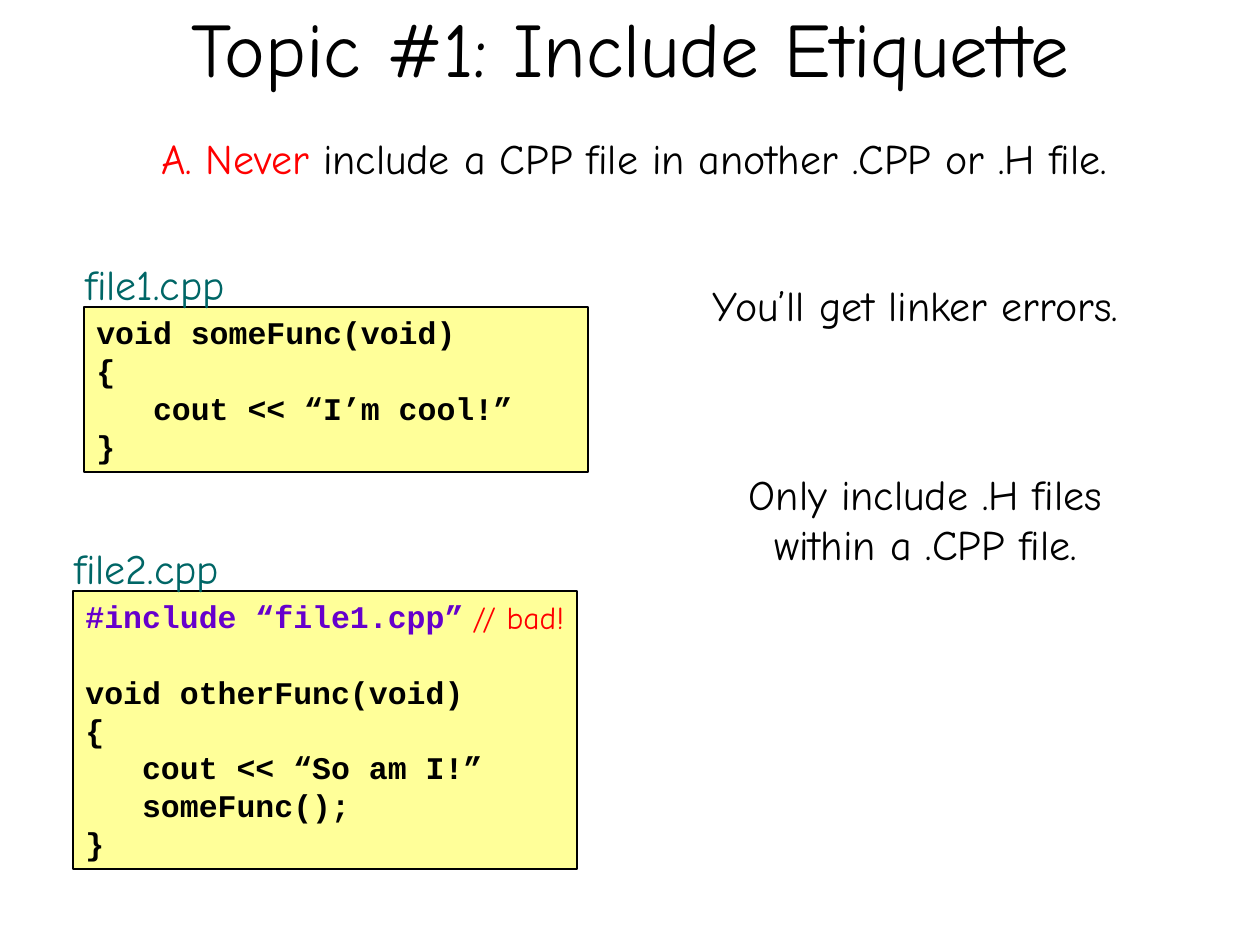
from pptx import Presentation
from pptx.dml.color import RGBColor
from pptx.enum.shapes import MSO_SHAPE
from pptx.enum.text import MSO_ANCHOR, PP_ALIGN
from pptx.util import Emu, Pt

PX = 914400 // 126
RECT = MSO_SHAPE.RECTANGLE
TOP, MIDDLE = MSO_ANCHOR.TOP, MSO_ANCHOR.MIDDLE
LEFT, CENTER = PP_ALIGN.LEFT, PP_ALIGN.CENTER

BLACK = RGBColor(0x00, 0x00, 0x00)
RED = RGBColor(0xFF, 0x00, 0x00)
TEAL = RGBColor(0x00, 0x66, 0x66)
PURPLE = RGBColor(0x66, 0x00, 0xCC)
YELLOW = RGBColor(0xFF, 0xFF, 0x99)

BODY_FONT = "Comic Neue"
CODE_FONT = "Courier New"

FILE1 = [
    [("void someFunc(void)", BLACK)],
    [("{", BLACK)],
    [("   cout << “I’m cool!”", BLACK)],
    [("}", BLACK)],
]
FILE2 = [
    [("#include “file1.cpp”", PURPLE)],
    [],
    [("void otherFunc(void)", BLACK)],
    [("{", BLACK)],
    [("   cout << “So am I!”", BLACK)],
    [("   someFunc();", BLACK)],
    [("}", BLACK)],
]


def box(x, y, w, h):
    """Turn a box in px into EMU lengths."""
    return [Emu(v * PX) for v in (x, y, w, h)]


def set_text(tf, lines, size=24, font=BODY_FONT, bold=False, align=LEFT,
             anchor=TOP, wrap=True):
    """Write lines of (text, colour) runs into a text frame."""
    tf.word_wrap = wrap
    tf.vertical_anchor = anchor
    for i, runs in enumerate(lines):
        p = tf.paragraphs[0] if i == 0 else tf.add_paragraph()
        p.alignment = align
        p.font.size = Pt(size)
        p.font.name = font
        for text, color in runs:
            r = p.add_run()
            r.text = text
            r.font.size = Pt(size)
            r.font.name = font
            r.font.bold = bold
            r.font.color.rgb = color


def add_title(s, text):
    """Place and format the title placeholder."""
    sp = s.shapes.title
    sp.left, sp.top, sp.width, sp.height = box(95, -32, 1071, 158)
    set_text(sp.text_frame, [[(text, BLACK)]], size=44, align=CENTER,
             anchor=MIDDLE)


def add_label(s, x, y, w, h, *runs, **fmt):
    """Add a text box with one paragraph."""
    sp = s.shapes.add_textbox(*box(x, y, w, h))
    set_text(sp.text_frame, [runs], **fmt)


def add_code_file(s, x, y, h, name, lines):
    """Add a code listing with its file name above."""
    sp = s.shapes.add_shape(RECT, *box(x, y, 504, h))
    sp.shadow.inherit = False
    sp.fill.solid()
    sp.fill.fore_color.rgb = YELLOW
    sp.line.color.rgb = BLACK
    sp.line.width = Pt(0.75)
    set_text(sp.text_frame, lines, size=18, font=CODE_FONT, bold=True)
    add_label(s, x - 11, y - 55, 196, 63, (name, TEAL), wrap=False)


def main():
    """Build the slide."""
    prs = Presentation()
    prs.slide_width, prs.slide_height = Emu(1260 * PX), Emu(945 * PX)
    s = prs.slides.add_slide(prs.slide_layouts[5])
    add_title(s, "Topic #1: Include Etiquette")
    add_label(s, 110, 126, 1048, 63, ("A. Never ", RED),
              ("include a CPP file in another .CPP or .H file.", BLACK),
              align=CENTER, wrap=False)
    add_code_file(s, 84, 307, 165, "file1.cpp", FILE1)
    add_code_file(s, 73, 591, 278, "file2.cpp", FILE2)
    add_label(s, 693, 273, 445, 113, ("You’ll get linker errors.", BLACK),
              align=CENTER)
    add_label(s, 703, 462, 445, 113,
              ("Only include .H files within a .CPP file.", BLACK),
              align=CENTER)
    add_label(s, 460, 592, 129, 50, ("// bad!", RED), size=18, wrap=False)
    prs.save("out.pptx")


if __name__ == "__main__":
    main()
